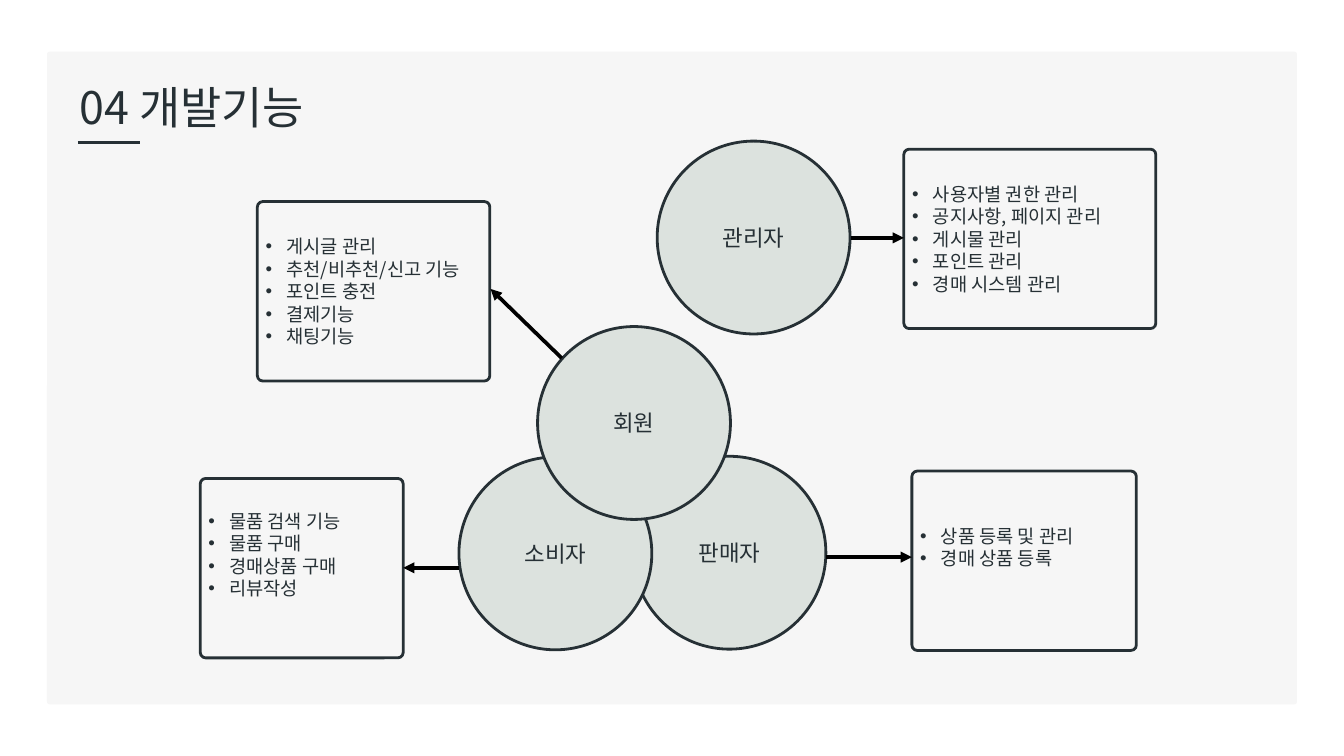
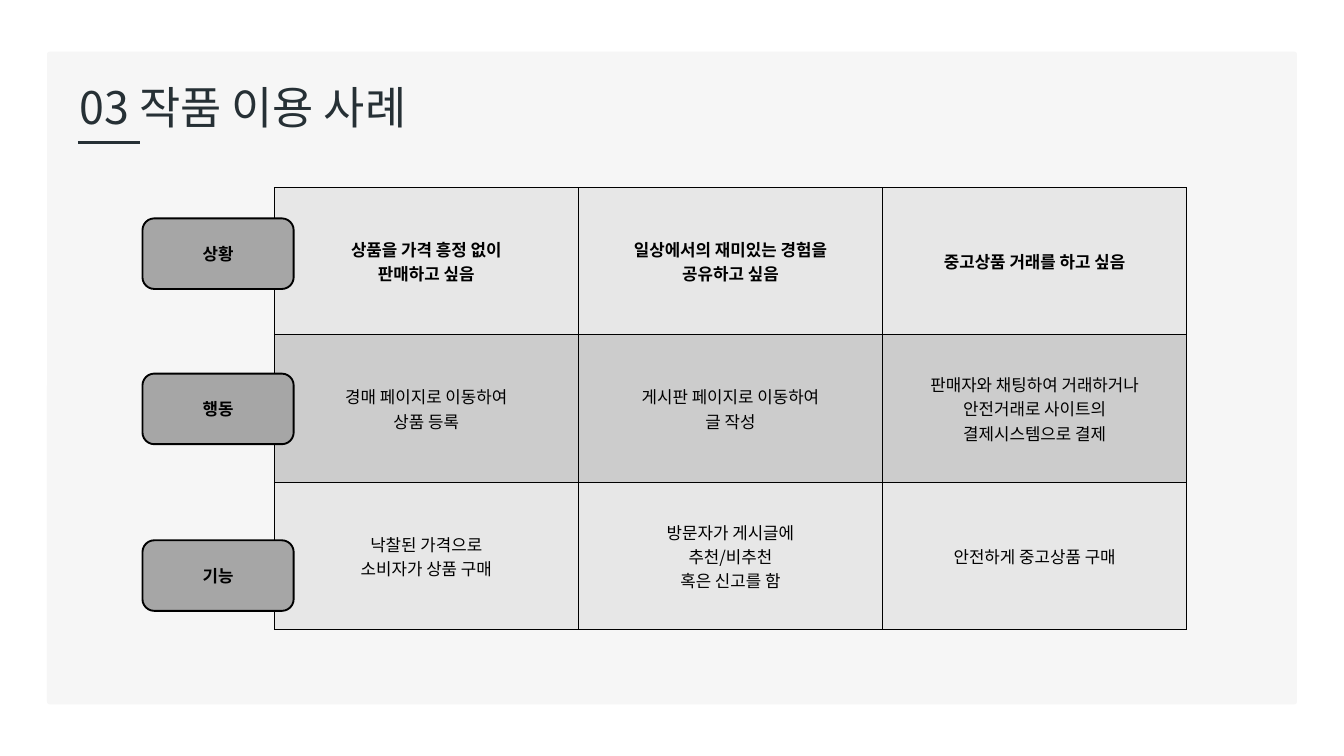
from lxml import etree
from pptx import Presentation
from pptx.dml.color import RGBColor
from pptx.enum import shapes, text
from pptx.oxml import ns
from pptx.util import Inches, Pt

THEME = {
    "font": "Noto Sans CJK KR",
    "ink": RGBColor.from_string("263035"),
    "black": RGBColor.from_string("000000"),
    "panel": RGBColor.from_string("F6F6F6"),
    "circle": RGBColor.from_string("DCE2DE"),
    "label": RGBColor.from_string("A6A6A6"),
    "rows": [RGBColor.from_string(c) for c in ("E7E7E7", "CCCCCC", "E7E7E7")],
    "title_size": Pt(48),
    "role_size": Pt(24),
    "list_size": Pt(20),
    "cell_size": Pt(18),
}
TITLES = ["04 개발기능", "03 작품 이용 사례"]


def write_text(frame, lines, size, color, align=text.PP_ALIGN.CENTER, bold=False, bullet=False):
    frame.word_wrap = True
    font_format = {"name": THEME["font"], "size": size, "bold": bold}
    for index, line in enumerate(lines):
        paragraph = frame.paragraphs[0] if index == 0 else frame.add_paragraph()
        paragraph.alignment = align
        run = paragraph.add_run()
        run.text = line
        for name, value in font_format.items():
            setattr(run.font, name, value)
        run.font.color.rgb = color
        east_asian = etree.SubElement(run.font._element, ns.qn("a:ea"))
        east_asian.set("typeface", THEME["font"])
        if bullet:
            properties = paragraph._p.get_or_add_pPr()
            properties.set("marL", str(Inches(0.31)))
            properties.set("indent", str(-Inches(0.31)))
            etree.SubElement(properties, ns.qn("a:buFont")).set("typeface", "Arial")
            etree.SubElement(properties, ns.qn("a:buChar")).set("char", "•")


def draw_line(slide, start, end, color, width, arrow=False):
    line = slide.shapes.add_connector(
        shapes.MSO_CONNECTOR.STRAIGHT, *map(Inches, start + end))
    line.line.color.rgb = color
    line.line.width = width
    if arrow:
        line_xml = line.line._get_or_add_ln()
        etree.SubElement(line_xml, ns.qn("a:tailEnd")).set("type", "triangle")
    etree.SubElement(line._element.spPr, ns.qn("a:effectLst"))


presentation = Presentation()
presentation.slide_width = Inches(20)
presentation.slide_height = Inches(11.25)
layout = presentation.slide_layouts[5]

# Shared title and underline
for title_text in TITLES:
    slide = presentation.slides.add_slide(layout)
    title = slide.shapes.title
    title.left, title.top, title.width, title.height = map(Inches, (1.08, 1.22, 8.58, 0.91))
    write_text(title.text_frame, [title_text], THEME["title_size"], THEME["ink"],
               text.PP_ALIGN.LEFT)
    title_format = {"vertical_anchor": text.MSO_ANCHOR.TOP,
                    "auto_size": text.MSO_AUTO_SIZE.SHAPE_TO_FIT_TEXT}
    for name, value in title_format.items():
        setattr(title.text_frame, name, value)
    title.text_frame.paragraphs[0].line_spacing = 0.9
    draw_line(slide, (1.16, 2.12), (2.08, 2.12), THEME["ink"], Pt(3))

features, cases = presentation.slides

# Shared panel, moved to the layout so that every slide shows it
panel = features.shapes.add_shape(
    shapes.MSO_SHAPE.ROUNDED_RECTANGLE, *map(Inches, (0.7, 0.77, 18.6, 9.71)))
panel.adjustments[0] = 0.004
panel.shadow.inherit = False
panel.fill.solid()
panel.fill.fore_color.rgb = THEME["panel"]
panel.line.fill.background()
panel.element.xpath("./p:nvSpPr/p:cNvPr")[0].set("id", "99")
layout.shapes.element.insert(2, panel.element)

# Role circles, the member circle in front
ROLES = [("관리자", 9.78, 2.1), ("판매자", 9.42, 6.79), ("소비자", 6.83, 6.8), ("회원", 8, 4.86)]
for role, left, top in ROLES:
    circle = features.shapes.add_shape(
        shapes.MSO_SHAPE.OVAL, *map(Inches, (left, top, 2.87, 2.87)))
    circle.shadow.inherit = False
    circle.fill.solid()
    circle.fill.fore_color.rgb = THEME["circle"]
    circle.line.color.rgb = THEME["ink"]
    circle.line.width = Pt(3)
    circle.text_frame.vertical_anchor = text.MSO_ANCHOR.MIDDLE
    write_text(circle.text_frame, [role], THEME["role_size"], THEME["ink"])

# Feature boxes: left, top, width, bottom margin, lines
FEATURES = [
    (13.45, 2.22, 3.75, 0.05,
     ["사용자별 권한 관리", "공지사항, 페이지 관리", "게시물 관리", "포인트 관리", "경매 시스템 관리"]),
    (13.57, 7.01, 3.34, 0.45, ["상품 등록 및 관리", "경매 상품 등록"]),
    (3.83, 3, 3.46, 0.05,
     ["게시글 관리", "추천/비추천/신고 기능", "포인트 충전", "결제기능", "채팅기능"]),
    (2.98, 7.12, 3.02, 0.45, ["물품 검색 기능", "물품 구매", "경매상품 구매", "리뷰작성"]),
]
for left, top, width, bottom_margin, lines in FEATURES:
    box = features.shapes.add_shape(
        shapes.MSO_SHAPE.ROUNDED_RECTANGLE, *map(Inches, (left, top, width, 2.67)))
    box.adjustments[0] = 0.03
    box.shadow.inherit = False
    box.fill.background()
    box.line.color.rgb = THEME["ink"]
    box.line.width = Pt(3)
    box.text_frame.vertical_anchor = text.MSO_ANCHOR.MIDDLE
    box.text_frame.margin_bottom = Inches(bottom_margin)
    write_text(box.text_frame, lines, THEME["list_size"], THEME["ink"],
               text.PP_ALIGN.LEFT, bullet=True)

# Arrows from each role to its features
ARROWS = [
    ((12.66, 3.54), (13.45, 3.54)),
    ((12.29, 8.29), (13.57, 8.29)),
    ((8.36, 5.33), (7.3, 4.3)),
    ((6.83, 8.45), (6, 8.45)),
]
for start, end in ARROWS:
    draw_line(features, start, end, THEME["black"], Pt(4), arrow=True)

# Use case table, one list of lines per cell
CASES = [
    [["상품을 가격 흥정 없이", "판매하고 싶음"],
     ["일상에서의 재미있는 경험을", "공유하고 싶음"],
     ["중고상품 거래를 하고 싶음"]],
    [["경매 페이지로 이동하여", "상품 등록"],
     ["게시판 페이지로 이동하여", "글 작성"],
     ["판매자와 채팅하여 거래하거나", "안전거래로 사이트의", "결제시스템으로 결제"]],
    [["낙찰된 가격으로", "소비자가 상품 구매"],
     ["방문자가 게시글에", "추천/비추천", "혹은 신고를 함"],
     ["안전하게 중고상품 구매"]],
]
table = cases.shapes.add_table(3, 3, *map(Inches, (4.08, 2.79, 13.58, 6.58))).table
table.first_row = False
table.horz_banding = False
for row_index, row in enumerate(CASES):
    for column_index, lines in enumerate(row):
        cell = table.cell(row_index, column_index)
        cell.vertical_anchor = text.MSO_ANCHOR.MIDDLE
        write_text(cell.text_frame, lines, THEME["cell_size"], THEME["black"],
                   bold=row_index == 0)
        cell_properties = cell._tc.get_or_add_tcPr()
        for side in ("lnL", "lnR", "lnT", "lnB"):
            border = etree.SubElement(cell_properties, ns.qn(f"a:{side}"), w=str(Pt(1)))
            border_fill = etree.SubElement(border, ns.qn("a:solidFill"))
            etree.SubElement(border_fill, ns.qn("a:srgbClr"), val=str(THEME["black"]))
        cell.fill.solid()
        cell.fill.fore_color.rgb = THEME["rows"][row_index]

# Row labels over the left edge of the table
for label_text, top in [("상황", 3.25), ("행동", 5.56), ("기능", 8.04)]:
    label = cases.shapes.add_shape(
        shapes.MSO_SHAPE.ROUNDED_RECTANGLE, *map(Inches, (2.12, top, 2.25, 1.05)))
    label.shadow.inherit = False
    label.fill.solid()
    label.fill.fore_color.rgb = THEME["label"]
    label.line.color.rgb = THEME["black"]
    label.line.width = Pt(2)
    label.text_frame.vertical_anchor = text.MSO_ANCHOR.MIDDLE
    write_text(label.text_frame, [label_text], THEME["cell_size"], THEME["black"], bold=True)

presentation.save("out.pptx")
